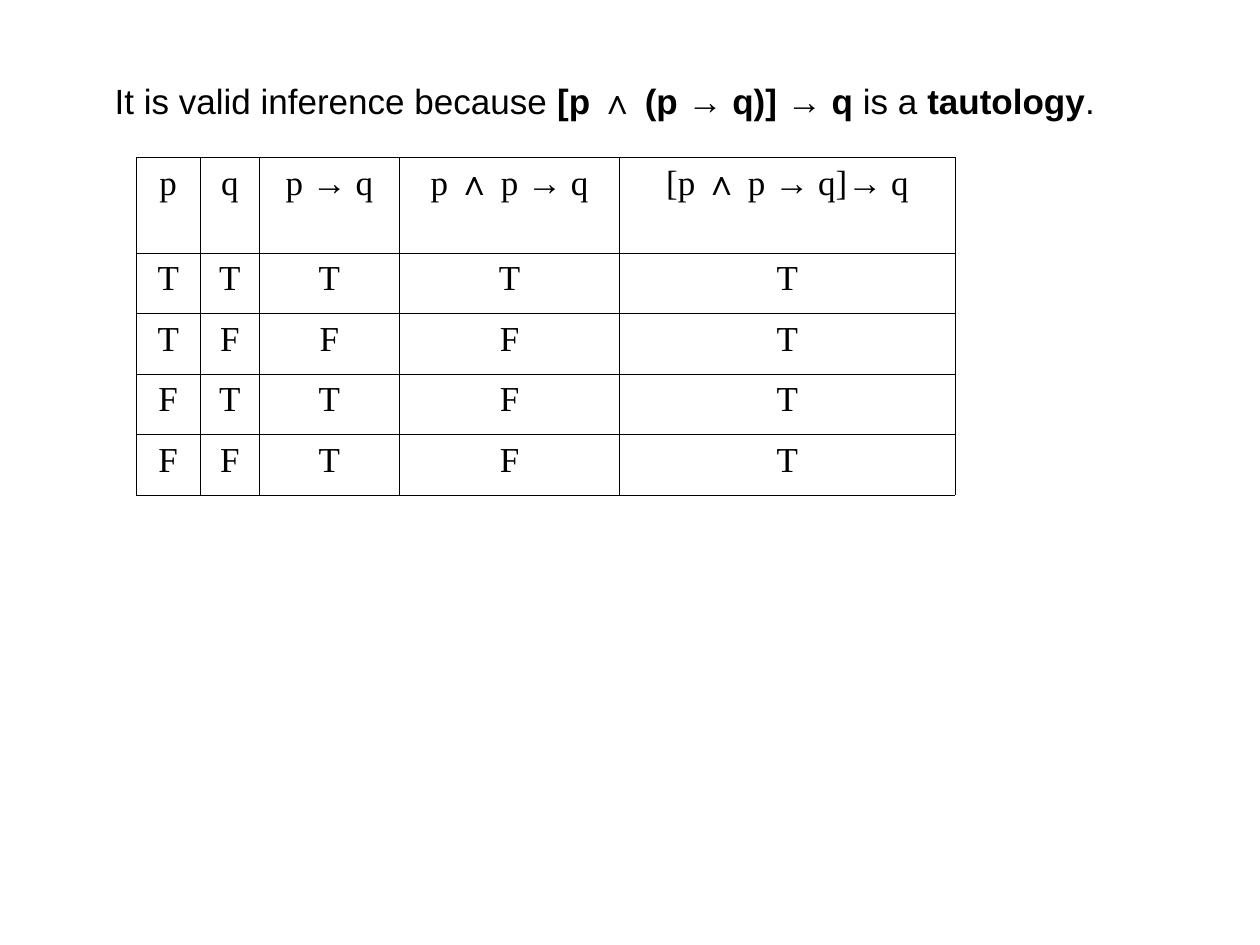
from itertools import groupby

from lxml import etree
from pptx import Presentation
from pptx.dml.color import RGBColor
from pptx.enum.text import MSO_ANCHOR, MSO_AUTO_SIZE, PP_ALIGN
from pptx.oxml.ns import qn
from pptx.util import Inches, Pt

BLACK = RGBColor(0, 0, 0)
SYMBOLS = "∧→"


def add_run(paragraph, text, font_name, bold=False):
    run = paragraph.add_run()
    run.text = text
    run.font.name = font_name
    run.font.size = Pt(20)
    run.font.bold = bold
    run.font.color.rgb = BLACK


def add_borders(cell):
    properties = cell._tc.get_or_add_tcPr()
    for position, side in enumerate(("lnL", "lnR", "lnT", "lnB")):
        border = etree.Element(qn(f"a:{side}"), w=str(Pt(0.45)))
        fill = etree.SubElement(border, qn("a:solidFill"))
        etree.SubElement(fill, qn("a:srgbClr"), val=str(BLACK))
        properties.insert(position, border)


prs = Presentation()
prs.slide_width = Inches(10)
prs.slide_height = Inches(7.5)
slide = prs.slides.add_slide(prs.slide_layouts[1])
unused_title = slide.shapes.title.element
unused_title.getparent().remove(unused_title)

statement = slide.placeholders[1]
statement.left, statement.top = Inches(0.5), Inches(0.58)
statement.width, statement.height = Inches(9), Inches(6.12)
frame = statement.text_frame
frame.word_wrap = True
frame.auto_size = MSO_AUTO_SIZE.NONE
frame.vertical_anchor = MSO_ANCHOR.TOP
sentence = frame.paragraphs[0]
sentence.space_before = Pt(5)
sentence_format = sentence._p.get_or_add_pPr()
sentence_format.set("marL", str(Inches(0.31)))
sentence_format.set("indent", "0")
etree.SubElement(sentence_format, qn("a:buNone"))
for text, bold in (
    ("It is valid inference because ", False),
    ("[p ∧ (p → q)] → q", True),
    (" is a ", False),
    ("tautology", True),
    (".", False),
):
    add_run(sentence, text, "Arial", bold)

truth_rows = [
    ("p", "q", "p → q", "p ∧ p → q", "[p ∧ p → q]→ q"),
    "TTTTT",
    "TFFFT",
    "FTTFT",
    "FFTFT",
]
column_widths = [0.51, 0.47, 1.11, 1.75, 2.66]
row_heights = [0.76] + [0.48] * 4

truth_table = slide.shapes.add_table(
    len(row_heights), len(column_widths),
    Inches(1.08), Inches(1.25),
    Inches(sum(column_widths)), Inches(sum(row_heights)),
).table
truth_table.first_row = False
truth_table.horz_banding = False
for column, width in zip(truth_table.columns, column_widths):
    column.width = Inches(width)
for row, height, entries in zip(truth_table.rows, row_heights, truth_rows):
    row.height = Inches(height)
    for cell, entry in zip(row.cells, entries):
        cell.fill.background()
        add_borders(cell)
        paragraph = cell.text_frame.paragraphs[0]
        paragraph.alignment = PP_ALIGN.CENTER
        for is_symbol, letters in groupby(entry, key=lambda letter: letter in SYMBOLS):
            font_name = "Arial" if is_symbol else "Times New Roman"
            add_run(paragraph, "".join(letters), font_name)

prs.save("out.pptx")
